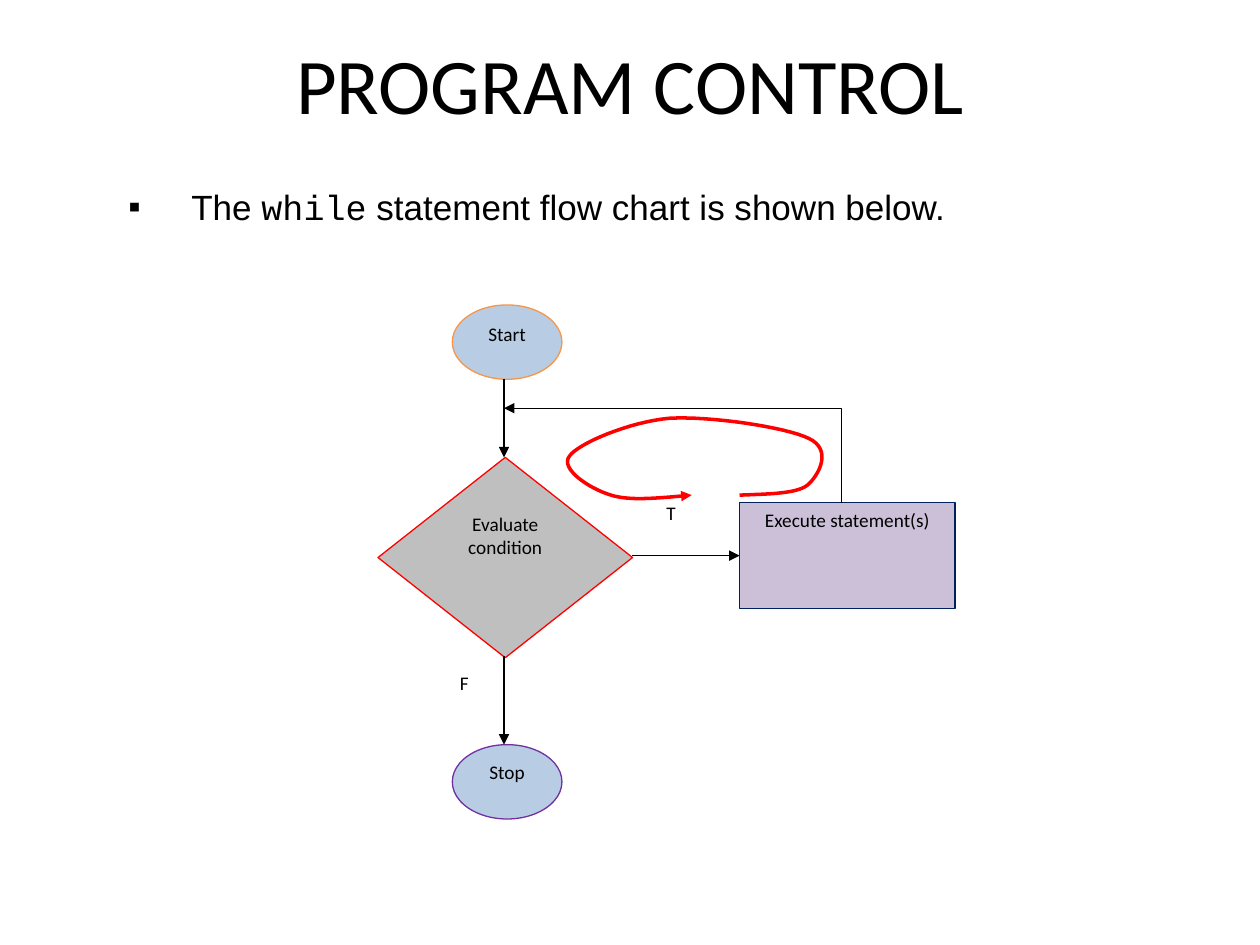
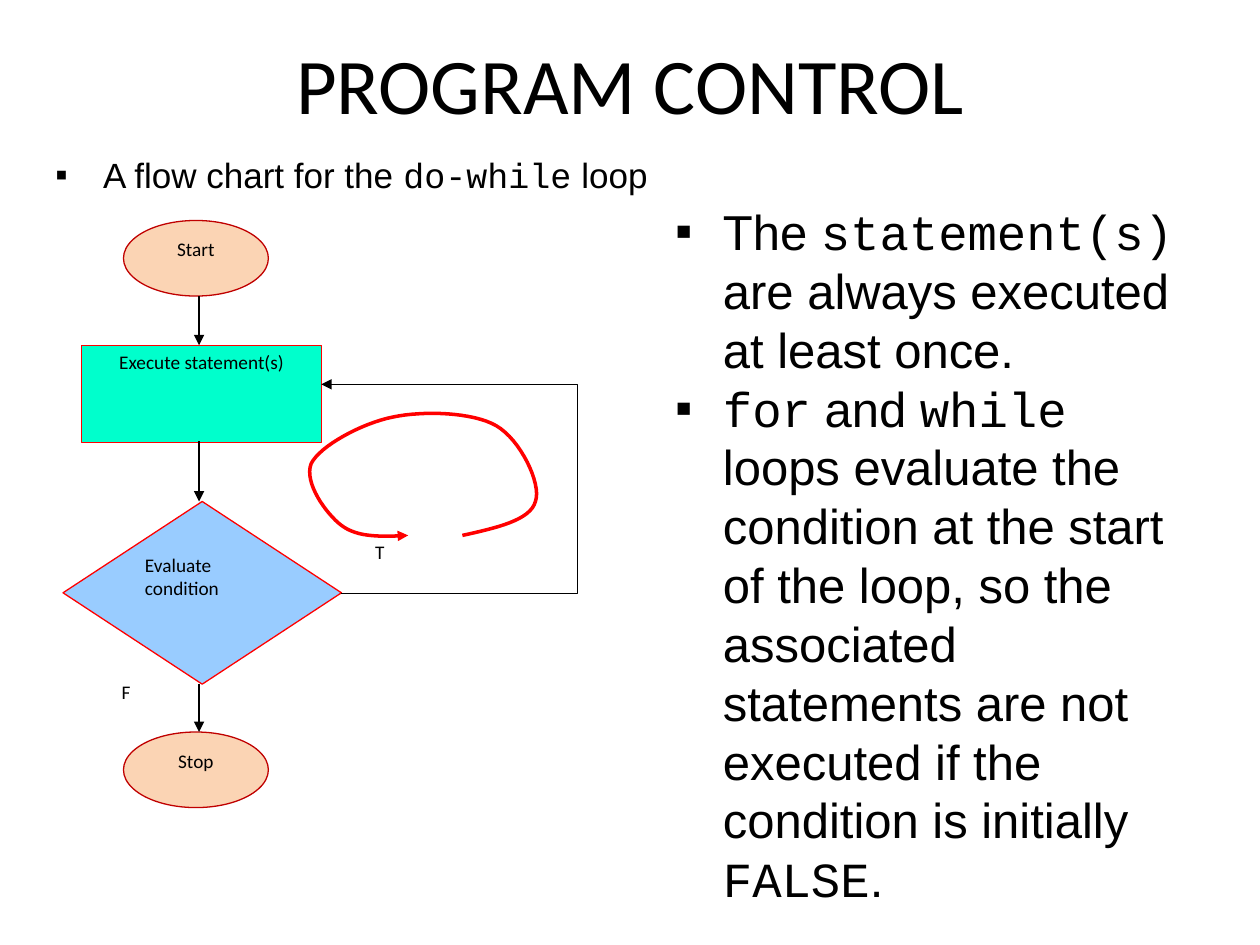
from dataclasses import dataclass

from lxml.etree import SubElement
from pptx import Presentation
from pptx.dml.color import RGBColor
from pptx.enum.shapes import MSO_CONNECTOR as Connector, MSO_SHAPE as Shape
from pptx.enum.text import MSO_ANCHOR as Anchor, PP_ALIGN as Align
from pptx.oxml.ns import qn
from pptx.util import Inches, Pt

COLORS = {
    "black": "000000", "white": "FFFFFF", "red": "FF0000",
    "pale_blue": "B8CCE4", "orange": "F79646", "gray": "BFBFBF",
    "lilac": "CCC0D9", "navy": "002060", "purple": "7030A0",
    "peach": "FBD4B4", "dark_red": "C00000", "sky": "99CCFF", "mint": "00FFCC",
}
TITLE = "PROGRAM CONTROL"
HEADING_FONT, BODY_FONT, CODE_FONT = "Calibri", "Arial", "Courier New"
WIDE, NARROW = (0.1, 0.05), (0.04, 0.04)  # horizontal and vertical insets
CURVE_STEPS = 16

Point = tuple[float, float]
Box = tuple[float, float, float, float]


@dataclass
class Node:
    text: str
    kind: Shape
    box: Box
    fill: str = "white"
    line: str | None = None
    insets: Point = NARROW
    align: Align = Align.CENTER
    space_after: int = 0


@dataclass
class Link:
    start: Point
    end: Point
    arrow: bool = True
    bend: float | None = None  # place of the elbow, as a share of the width


@dataclass
class Bullets:
    paragraphs: list[str]  # code words stand between backticks
    box: Box
    size: int
    indent: float
    wrap: bool = True


@dataclass
class FlowSlide:
    bullets: list[Bullets]
    nodes: list[Node]
    links: list[Link]
    loop: list[Point]  # start point, then three points per Bezier segment


def color(name: str) -> RGBColor:
    return RGBColor.from_string(COLORS[name])


def inches(values) -> list:
    return [Inches(value) for value in values]


def style_font(font, name: str, size: int) -> None:
    font.name, font.size = name, Pt(size)
    font.color.rgb = color("black")


def style_line(shape, name: str, width: float, arrow: bool = False) -> None:
    shape.line.color.rgb = color(name)
    shape.line.width = Pt(width)
    if arrow:
        line = shape.line._get_or_add_ln()
        SubElement(line, qn("a:tailEnd"), type="triangle")


def set_insets(text_frame, insets: Point) -> None:
    text_frame.margin_left = text_frame.margin_right = Inches(insets[0])
    text_frame.margin_top = text_frame.margin_bottom = Inches(insets[1])


def add_title(slide) -> None:
    shape = slide.shapes.add_textbox(*inches((0.75, 0.25, 8.5, 0.84)))
    shape.fill.solid()
    shape.fill.fore_color.rgb = color("white")
    text_frame = shape.text_frame
    text_frame.word_wrap = True
    text_frame.vertical_anchor = Anchor.BOTTOM
    text_frame.text = TITLE
    paragraph = text_frame.paragraphs[0]
    paragraph.alignment = Align.CENTER
    paragraph.line_spacing = 0.9
    style_font(paragraph.runs[0].font, HEADING_FONT, 45)


def add_bullet(paragraph, indent: float) -> None:
    properties = paragraph._p.get_or_add_pPr()
    properties.set("marL", str(Inches(indent)))
    properties.set("indent", str(-Inches(indent)))
    bullet_color = SubElement(properties, qn("a:buClr"))
    SubElement(bullet_color, qn("a:srgbClr"), val=COLORS["black"])
    SubElement(properties, qn("a:buFont"), typeface=BODY_FONT)
    SubElement(properties, qn("a:buChar"), char="▪")


def add_bullets(slide, bullets: Bullets) -> None:
    text_frame = slide.shapes.add_textbox(*inches(bullets.box)).text_frame
    text_frame.word_wrap = bullets.wrap
    for index, text in enumerate(bullets.paragraphs):
        paragraph = text_frame.add_paragraph() if index else text_frame.paragraphs[0]
        add_bullet(paragraph, bullets.indent)
        for part, words in enumerate(text.split("`")):
            if words:
                run = paragraph.add_run()
                run.text = words
                style_font(run.font, CODE_FONT if part % 2 else BODY_FONT, bullets.size)


def add_node(slide, node: Node) -> None:
    shape = slide.shapes.add_shape(node.kind, *inches(node.box))
    shape.shadow.inherit = False
    shape.fill.solid()
    shape.fill.fore_color.rgb = color(node.fill)
    if node.line:
        style_line(shape, node.line, 0.75)
    else:
        shape.line.fill.background()
    text_frame = shape.text_frame
    text_frame.word_wrap = True
    text_frame.vertical_anchor = Anchor.TOP
    set_insets(text_frame, node.insets)
    text_frame.text = node.text
    paragraph = text_frame.paragraphs[0]
    paragraph.alignment = node.align
    paragraph.space_after = Pt(node.space_after)
    style_font(paragraph.runs[0].font, HEADING_FONT, 11)


def add_link(slide, link: Link) -> None:
    kind = Connector.STRAIGHT if link.bend is None else Connector.ELBOW
    connector = slide.shapes.add_connector(kind, *inches(link.start + link.end))
    style_line(connector, "black", 0.75, link.arrow)
    properties = connector._element.spPr
    SubElement(properties, qn("a:effectLst"))
    if link.bend is not None:
        guides = properties.find(qn("a:prstGeom")).get_or_add_avLst()
        SubElement(guides, qn("a:gd"), name="adj1",
                   fmla=f"val {round(link.bend * 100000)}")


def bezier(points: list[Point], t: float) -> Point:
    weights = ((1 - t) ** 3, 3 * t * (1 - t) ** 2, 3 * t ** 2 * (1 - t), t ** 3)
    x, y = (sum(w * p[axis] for w, p in zip(weights, points)) for axis in (0, 1))
    return x, y


def add_loop(slide, points: list[Point]) -> None:
    curve = [
        inches(bezier(points[first:first + 4], step / CURVE_STEPS))
        for first in range(0, len(points) - 1, 3)
        for step in range(1, CURVE_STEPS + 1)
    ]
    builder = slide.shapes.build_freeform(*inches(points[0]))
    builder.add_line_segments(curve, close=False)
    shape = builder.convert_to_shape()
    shape.shadow.inherit = False
    shape.fill.background()
    style_line(shape, "red", 2, arrow=True)


def add_flow_slide(presentation, content: FlowSlide) -> None:
    slide = presentation.slides.add_slide(presentation.slide_layouts[6])
    add_title(slide)
    for bullets in content.bullets:
        add_bullets(slide, bullets)
    for node in content.nodes:
        add_node(slide, node)
    for link in content.links:
        add_link(slide, link)
    add_loop(slide, content.loop)


# The while loop: the condition comes first
WHILE_SLIDE = FlowSlide(
    bullets=[Bullets(["The `while` statement flow chart is shown below."],
                     (0.92, 1.42, 7.5, 0.44), 20, 0.5)],
    nodes=[
        Node("Start", Shape.OVAL, (3.59, 2.42, 0.87, 0.59), "pale_blue", "orange", WIDE),
        Node("Evaluate condition", Shape.DIAMOND, (3, 3.63, 2.02, 1.59),
             "gray", "red", space_after=10),
        Node("Execute statement(s)", Shape.RECTANGLE, (5.87, 3.99, 1.71, 0.84),
             "lilac", "navy", space_after=10),
        Node("Stop", Shape.OVAL, (3.59, 5.91, 0.87, 0.59), "pale_blue", "purple"),
        Node("F", Shape.RECTANGLE, (3.46, 5.28, 0.45, 0.42), insets=WIDE, space_after=10),
        Node("T", Shape.RECTANGLE, (5.1, 3.93, 0.45, 0.42), insets=WIDE, space_after=10),
    ],
    links=[
        Link((4, 3.01), (4, 3.63)),
        Link((4, 5.21), (4, 5.91)),
        Link((5.02, 4.41), (5.87, 4.41)),
        Link((6.69, 3.99), (4, 3.24), bend=0.004),
    ],
    loop=[
        (5.87, 3.93),
        (6.1, 3.92), (6.32, 3.92), (6.41, 3.85),
        (6.5, 3.77), (6.61, 3.57), (6.42, 3.48),
        (6.24, 3.39), (5.63, 3.3), (5.31, 3.32),
        (4.99, 3.35), (4.59, 3.52), (4.52, 3.62),
        (4.44, 3.72), (4.68, 3.88), (4.85, 3.93),
        (5.01, 3.98), (5.25, 3.95), (5.49, 3.93),
    ],
)

# The do-while loop: the statements come first
DO_WHILE_SLIDE = FlowSlide(
    bullets=[
        Bullets(["A flow chart for the `do-while` loop"],
                (0.34, 1.17, 4.91, 0.44), 20, 0.38, wrap=False),
        Bullets(["The `statement(s)` are always executed at least once.",
                 "`for` and `while` loops evaluate the condition at the start of the "
                 "loop, so the associated statements are not executed if the "
                 "condition is initially `FALSE`."],
                (5.26, 1.55, 4.17, 5.71), 28, 0.38),
    ],
    nodes=[
        Node("Start", Shape.OVAL, (0.98, 1.75, 1.15, 0.6), "peach", "dark_red", WIDE),
        Node("Execute statement(s)", Shape.RECTANGLE, (0.65, 2.74, 1.9, 0.77),
             "mint", "red", space_after=10),
        Node("Evaluate condition", Shape.DIAMOND, (0.5, 3.98, 2.21, 1.45),
             "sky", "red", WIDE, Align.LEFT, 10),
        Node("Stop", Shape.OVAL, (0.98, 5.81, 1.15, 0.6), "peach", "dark_red", WIDE),
        Node("T", Shape.RECTANGLE, (2.8, 4.25, 0.43, 0.37)),
        Node("F", Shape.RECTANGLE, (0.77, 5.36, 0.46, 0.38)),
    ],
    links=[
        Link((1.58, 2.35), (1.58, 2.74)),
        Link((1.58, 3.5), (1.58, 3.98)),
        Link((1.58, 5.43), (1.58, 5.81)),
        Link((2.71, 4.71), (4.58, 3.05), arrow=False, bend=1.003),
        Link((4.58, 3.05), (2.55, 3.05)),
    ],
    loop=[
        (3.67, 4.25),
        (3.94, 4.19), (4.21, 4.13), (4.25, 3.98),
        (4.3, 3.84), (4.13, 3.49), (3.94, 3.38),
        (3.75, 3.27), (3.36, 3.26), (3.12, 3.31),
        (2.87, 3.36), (2.54, 3.54), (2.47, 3.68),
        (2.41, 3.83), (2.59, 4.08), (2.71, 4.17),
        (2.84, 4.27), (3.04, 4.26), (3.24, 4.25),
    ],
)


def main() -> None:
    presentation = Presentation()
    presentation.slide_width, presentation.slide_height = Inches(10), Inches(7.5)
    for content in (WHILE_SLIDE, DO_WHILE_SLIDE):
        add_flow_slide(presentation, content)
    presentation.save("out.pptx")


if __name__ == "__main__":
    main()
